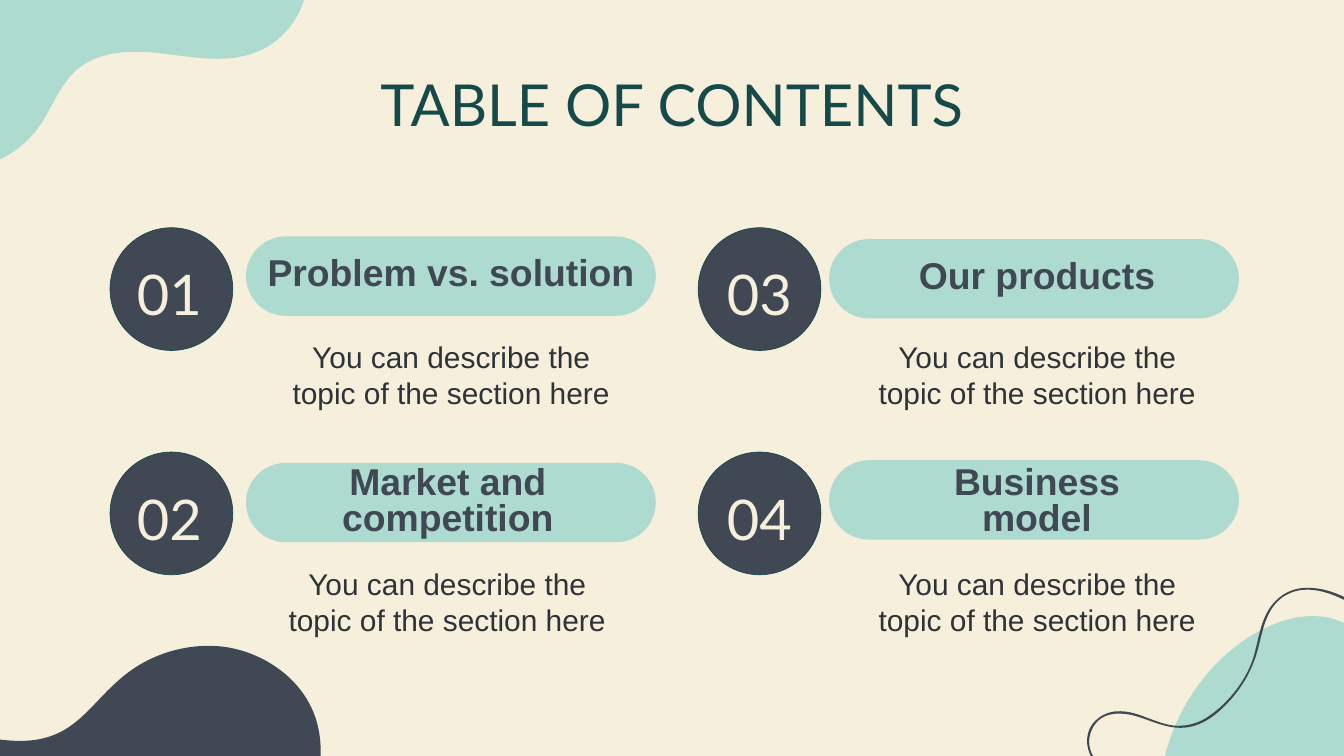
from pptx import Presentation
from pptx.dml.color import RGBColor
from pptx.enum.shapes import MSO_SHAPE
from pptx.enum.text import MSO_ANCHOR, MSO_AUTO_SIZE, PP_ALIGN
from pptx.oxml.ns import qn
from pptx.util import Cm, Pt

HEX = {"cream": "F6EFDC", "mint": "ADDBD0", "slate": "3F4853",
       "teal": "164A4A", "ink": "2E3338"}
RGB = {name: RGBColor.from_string(code) for name, code in HEX.items()}
INCH = 2.54  # curve points below are in inches

deck = Presentation()
deck.slide_width, deck.slide_height = Cm(50.8), Cm(28.58)
slide = deck.slides.add_slide(deck.slide_layouts[5])
slide.background.fill.solid()
slide.background.fill.fore_color.rgb = RGB["cream"]
shapes = slide.shapes


def curve(color, start, parts):
    """Closed freeform from cubic curves (six numbers) and lines (two)."""
    flat = [n for part in (start, *parts) for n in part]
    pts = [(Cm(x * INCH), Cm(y * INCH)) for x, y in zip(flat[::2], flat[1::2])]
    pen = shapes.build_freeform(*pts[0], scale=1.0)
    pen.add_line_segments(pts[1:], close=True)
    form = pen.convert_to_shape()
    # Join each three line points into one cubic curve
    lines = iter(form._element.findall(".//" + qn("a:lnTo")))
    for part in parts:
        first = next(lines)
        if len(part) == 6:
            first.tag = qn("a:cubicBezTo")
            for _ in range(2):
                line = next(lines)
                first.append(line[0])
                line.getparent().remove(line)
    form.shadow.inherit = False
    form.fill.solid()
    form.fill.fore_color.rgb = RGB[color]
    form.line.fill.background()


def write(box, lines, font, size, color, bold=False, anchor=MSO_ANCHOR.MIDDLE,
          space=None, inset=0):
    """Fill a box with centred lines, one paragraph each."""
    frame = box.text_frame
    frame.word_wrap = True
    frame.auto_size = MSO_AUTO_SIZE.NONE
    frame.vertical_anchor = anchor
    frame.margin_left = frame.margin_right = 0
    frame.margin_top = frame.margin_bottom = 0
    frame.text = "\n".join(lines)
    for para in frame.paragraphs:
        para.alignment = PP_ALIGN.CENTER
        para.line_spacing = space
        if inset:
            props = para._p.get_or_add_pPr()
            props.set("marL", str(inset))
            props.set("marR", str(inset))
        para.font.name, para.font.size = font, Pt(size)
        para.font.bold = bold
        para.font.color.rgb = RGB[color]


# Corner blobs: bottom right, bottom left, top left
curve("mint", (19.54, 9.17), [
    (19.52, 9.17, 19.51, 9.17, 19.49, 9.17),
    (19.16, 9.18, 18.84, 9.32, 18.56, 9.5),
    (17.92, 9.92, 17.47, 10.61, 17.31, 11.36),
    (20.23, 11.36),
    (20.44, 11.08, 20.59, 10.78, 20.62, 10.49),
    (20.68, 9.81, 20.25, 9.17, 19.54, 9.17)])
curve("slate", (4.68, 10.64), [
    (4.48, 10.1, 3.94, 9.72, 3.36, 9.63),
    (2.77, 9.55, 2.17, 9.75, 1.75, 10.14),
    (1.45, 10.4, 1.23, 10.74, 0.87, 10.91),
    (0.36, 11.15, -0.25, 10.97, -0.8, 10.83),
    (-1.09, 10.76, -1.4, 10.69, -1.69, 10.69),
    (-1.69, 11.74), (4.7, 11.74),
    (4.79, 11.36, 4.81, 10.99, 4.68, 10.64)])
curve("mint", (4.57, -0.42), [
    (4.56, -0.57, 4.52, -0.73, 4.43, -0.85),
    (3.81, -1.75, 2.55, -0.65, 1.83, -1.32),
    (1.48, -1.65, 1.38, -1.86, 0.82, -1.68),
    (0.36, -1.55, -0.03, -1.16, -0.1, -0.68),
    (-0.14, -0.43, -0.1, -0.18, -0.12, 0.08),
    (-0.12, 0.23, -0.15, 0.37, -0.23, 0.5),
    (-0.46, 0.89, -1.03, 0.97, -1.26, 1.37),
    (-1.49, 1.8, -1.12, 2.39, -0.63, 2.47),
    (-0.15, 2.55, 0.34, 2.25, 0.62, 1.83),
    (0.79, 1.56, 0.9, 1.26, 1.13, 1.05),
    (1.43, 0.78, 1.86, 0.75, 2.27, 0.78),
    (2.33, 0.79, 2.38, 0.79, 2.44, 0.8),
    (2.9, 0.85, 3.37, 0.95, 3.8, 0.78),
    (4.29, 0.6, 4.61, 0.09, 4.57, -0.42)])

# Loose thread over the bottom right blob: out along one edge, back on the other
curve("slate", (20.31, 9.05), [
    (20.05, 8.9, 19.78, 8.75, 19.47, 8.75),
    (19.22, 8.74, 19, 8.87, 18.87, 9.09),
    (18.74, 9.31, 18.72, 9.58, 18.64, 9.82),
    (18.53, 10.14, 18.29, 10.44, 18.03, 10.63),
    (17.9, 10.73, 17.75, 10.79, 17.59, 10.8),
    (17.41, 10.82, 17.23, 10.74, 17.06, 10.68),
    (16.82, 10.58, 16.53, 10.52, 16.32, 10.71),
    (16.14, 10.86, 16.14, 11.12, 16.26, 11.3),
    (16.32, 11.41, 16.42, 11.49, 16.5, 11.58),
    (16.62, 11.7, 16.71, 11.84, 16.77, 12.01),
    (16.84, 12.22, 16.84, 12.47, 16.77, 12.68),
    (16.76, 12.7, 16.79, 12.71, 16.8, 12.69),
    (16.88, 12.45, 16.88, 12.17, 16.78, 11.93),
    (16.73, 11.81, 16.66, 11.7, 16.57, 11.6),
    (16.47, 11.49, 16.35, 11.39, 16.27, 11.26),
    (16.18, 11.11, 16.19, 10.94, 16.28, 10.8),
    (16.4, 10.61, 16.63, 10.6, 16.83, 10.64),
    (17.13, 10.71, 17.38, 10.88, 17.7, 10.82),
    (17.97, 10.77, 18.19, 10.56, 18.36, 10.36),
    (18.54, 10.14, 18.66, 9.9, 18.73, 9.62),
    (18.8, 9.33, 18.86, 9.02, 19.13, 8.86),
    (19.46, 8.67, 19.86, 8.84, 20.15, 9.01),
    (20.2, 9.03, 20.25, 9.06, 20.29, 9.09),
    (20.31, 9.09, 20.33, 9.07, 20.31, 9.05)])

# Title
title = shapes.title
title.left, title.top, title.width, title.height = Cm(3.96), Cm(2.6), Cm(42.88), Cm(2.51)
write(title, ["TABLE OF CONTENTS"], "Lato", 62, "teal", anchor=MSO_ANCHOR.TOP)

# Sections: heading, pill top, heading left and top, text left
items = [
    ("Problem vs. solution", 8.94, 9.42, 8.94, 9.45),
    ("Market and competition", 17.5, 9.3, 17.5, 9.3),
    ("Our products", 9.04, 31.57, 9.04, 31.6),
    ("Business model", 17.4, 31.57, 17.5, 31.6),
]
for i, (head, top, left, high, side) in enumerate(items):
    col, row = divmod(i, 2)

    # Pill and number disc
    pill = shapes.add_shape(MSO_SHAPE.ROUNDED_RECTANGLE, Cm((9.3, 31.34)[col]),
                            Cm(top), Cm(15.49), Cm(3))
    pill.adjustments[0] = 0.5
    disc = shapes.add_shape(MSO_SHAPE.OVAL, Cm((4.16, 26.39)[col]),
                            Cm((8.61, 17.09)[row]), Cm(4.64), Cm(4.64))
    for form, color in ((pill, "mint"), (disc, "slate")):
        form.shadow.inherit = False
        form.fill.solid()
        form.fill.fore_color.rgb = RGB[color]
    pill.line.fill.background()
    disc.line.color.rgb = RGB["teal"]
    disc.line.width = Pt(0.75)

    # Heading, text and number
    box = shapes.add_textbox(Cm(left), Cm(high), Cm(15.25), Cm(3))
    write(box, [head], "Arial", 40, "slate", bold=True, space=0.8,
          inset=Cm(2.54) if col else 0)
    box = shapes.add_textbox(Cm(side), Cm((12.8, 21.39)[row]), Cm(15.22), Cm(2.82))
    write(box, ["You can describe the", "topic of the section here"],
          "Arial", 32, "ink", anchor=MSO_ANCHOR.TOP)
    box = shapes.add_textbox(Cm((4.52, 26.82)[col]), Cm((9.14, 17.63)[row]),
                             Cm(3.76), Cm(3.89))
    write(box, [f"{i + 1:02}"], "Lato", 60, "cream")

deck.save("out.pptx")
